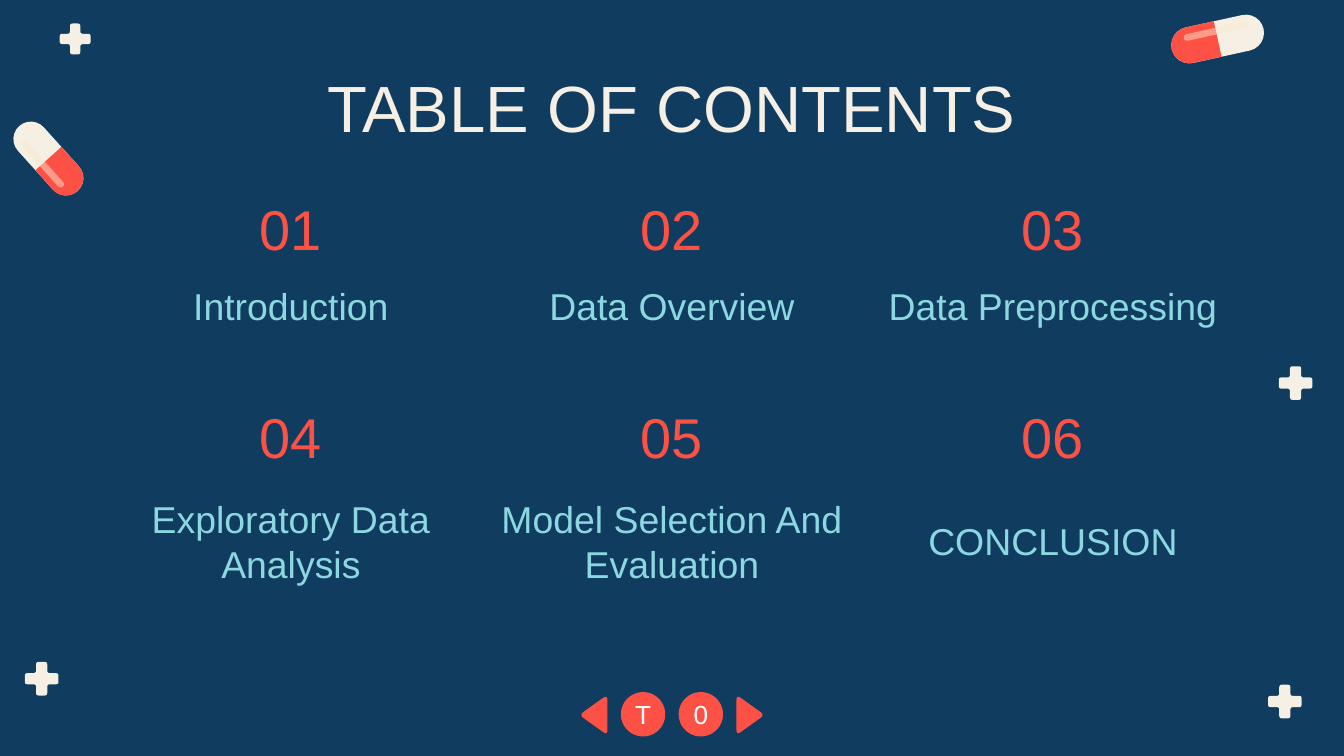
from math import cos, hypot, radians, sin

from lxml.etree import SubElement
from pptx import Presentation
from pptx.dml.color import RGBColor
from pptx.enum.shapes import MSO_SHAPE
from pptx.enum.text import MSO_ANCHOR, PP_ALIGN
from pptx.oxml.ns import qn
from pptx.util import Inches, Pt

NAVY = RGBColor(0x10, 0x3C, 0x60)
CREAM = RGBColor(0xF6, 0xEF, 0xE4)
CORAL = RGBColor(0xFE, 0x51, 0x45)
AQUA = RGBColor(0x8C, 0xD8, 0xE1)
SHINE = RGBColor(0xFA, 0xE9, 0xCD)
WHITE = RGBColor(0xFF, 0xFF, 0xFF)

SECTIONS = [
    "Introduction", "Data Overview", "Data Preprocessing",
    "Exploratory Data Analysis", "Model Selection And Evaluation", "CONCLUSION",
]
ROWS = [(1.37, 2.07), (2.92, 3.82)]
LEFT, RIGHT, NAME_WIDTH = 0.78, 9.22, 2.77
CROSSES = [(9.64, 2.85, 0.25), (0.56, 0.29, 0.23), (0.31, 5.05, 0.25), (9.56, 5.22, 0.25)]


def paint(shape, color):
    """Give a shape a plain fill without outline or shadow."""
    shape.shadow.inherit = False
    shape.fill.solid()
    shape.fill.fore_color.rgb = color
    shape.line.fill.background()


def write(shape, wording, size, color, anchor=MSO_ANCHOR.MIDDLE, side_inset=0.1):
    """Put centred wording into a shape."""
    frame = shape.text_frame
    frame.word_wrap = True
    frame.vertical_anchor = anchor
    frame.margin_left = frame.margin_right = Inches(side_inset)
    frame.margin_top = frame.margin_bottom = Inches(0.1)
    paragraph = frame.paragraphs[0]
    paragraph.alignment = PP_ALIGN.CENTER
    run = paragraph.add_run()
    run.text = wording
    run.font.name = "Arial"
    run.font.size = Pt(size)
    run.font.color.rgb = color


def add_text(slide, left, top, width, height, wording, size, color, anchor=MSO_ANCHOR.MIDDLE):
    """Add a text box with centred wording."""
    box = slide.shapes.add_textbox(Inches(left), Inches(top), Inches(width), Inches(height))
    write(box, wording, size, color, anchor)


def toward(start, end, distance):
    """Return the point at a distance from start on the way to end."""
    share = distance / hypot(end[0] - start[0], end[1] - start[1])
    return tuple(a + (b - a) * share for a, b in zip(start, end))


def add_rounded_outline(slide, corners, radius, color):
    """Draw a polygon whose corners are softened by quadratic curves."""
    outline = []
    for index, corner in enumerate(corners):
        entry = toward(corner, corners[index - 1], radius)
        leave = toward(corner, corners[(index + 1) % len(corners)], radius)
        for step in range(7):
            t = step / 6
            outline.append(tuple(
                Inches((1 - t) ** 2 * a + 2 * t * (1 - t) * c + t ** 2 * b)
                for a, c, b in zip(entry, corner, leave)
            ))
    builder = slide.shapes.build_freeform(*outline[0], scale=1.0)
    builder.add_line_segments(outline[1:], close=True)
    paint(builder.convert_to_shape(), color)


def add_cross(slide, x, y, size):
    """Draw a medical cross centred on a point."""
    reach, arm = size / 2, size / 6
    quarter = [(arm, -reach), (arm, -arm), (reach, -arm)]
    corners = []
    for _ in range(4):
        corners += [(x + dx, y + dy) for dx, dy in quarter]
        quarter = [(-dy, dx) for dx, dy in quarter]
    add_rounded_outline(slide, corners, 0.02, CREAM)


def add_pill(slide, x, y, length, thickness, angle):
    """Draw a two-coloured capsule whose coral end points along the angle."""
    turn = radians(angle)

    def add_part(preset, along, across, width, height, rotation, color):
        """Place one part by its offset along and across the capsule."""
        center_x = x + along * cos(turn) - across * sin(turn)
        center_y = y + along * sin(turn) + across * cos(turn)
        part = slide.shapes.add_shape(
            preset, Inches(center_x - width / 2), Inches(center_y - height / 2),
            Inches(width), Inches(height))
        part.adjustments[0] = 0.5
        part.rotation = rotation
        paint(part, color)
        return part

    add_part(MSO_SHAPE.ROUNDED_RECTANGLE, 0, 0, length, thickness, angle, CREAM)
    add_part(MSO_SHAPE.ROUND_2_SAME_RECTANGLE, length / 4, 0,
             thickness, length / 2, angle + 90, CORAL)
    shine = add_part(MSO_SHAPE.ROUNDED_RECTANGLE, 0, 0.06, length * 0.7, 0.05, angle, SHINE)
    tint = shine.fill._xPr.find(qn("a:solidFill"))[0]
    SubElement(tint, qn("a:alpha"), val="49000")


def add_page_button(slide, left, label):
    """Draw a round navigation button with a label."""
    button = slide.shapes.add_shape(
        MSO_SHAPE.OVAL, Inches(left), Inches(5.15), Inches(0.33), Inches(0.33))
    paint(button, CORAL)
    write(button, label, 14, WHITE, side_inset=0)


def add_page_arrow(slide, base, tip):
    """Draw a navigation triangle from its base to its tip."""
    add_rounded_outline(slide, [(base, 5.17), (tip, 5.32), (base, 5.47)], 0.04, CORAL)


def main():
    """Build the table of contents slide."""
    deck = Presentation()
    deck.slide_width = Inches(10)
    deck.slide_height = deck.slide_width * 9 // 16
    slide = deck.slides.add_slide(deck.slide_layouts[6])
    slide.background.fill.solid()
    slide.background.fill.fore_color.rgb = NAVY

    for cross in CROSSES:
        add_cross(slide, *cross)
    add_pill(slide, 0.36, 1.18, 0.65, 0.26, 48)
    add_pill(slide, 9.06, 0.29, 0.7, 0.27, 167.6)

    add_text(slide, LEFT, 0.4, RIGHT - LEFT, 0.63, "TABLE OF CONTENTS", 35, CREAM, MSO_ANCHOR.TOP)
    pitch = (RIGHT - LEFT - NAME_WIDTH) / 2
    for index, section in enumerate(SECTIONS):
        row, column = divmod(index, 3)
        number_top, name_top = ROWS[row]
        left = LEFT + column * pitch
        add_text(slide, left, name_top, NAME_WIDTH, 0.41, section, 20, AQUA)
        add_text(slide, left + 0.88, number_top, 1, 0.65, f"{index + 1:02}", 30, CORAL)

    add_page_button(slide, 4.62, "T")
    add_page_button(slide, 5.05, "0")
    add_page_arrow(slide, 5.48, 5.69)
    add_page_arrow(slide, 4.52, 4.31)
    deck.save("out.pptx")


if __name__ == "__main__":
    main()
